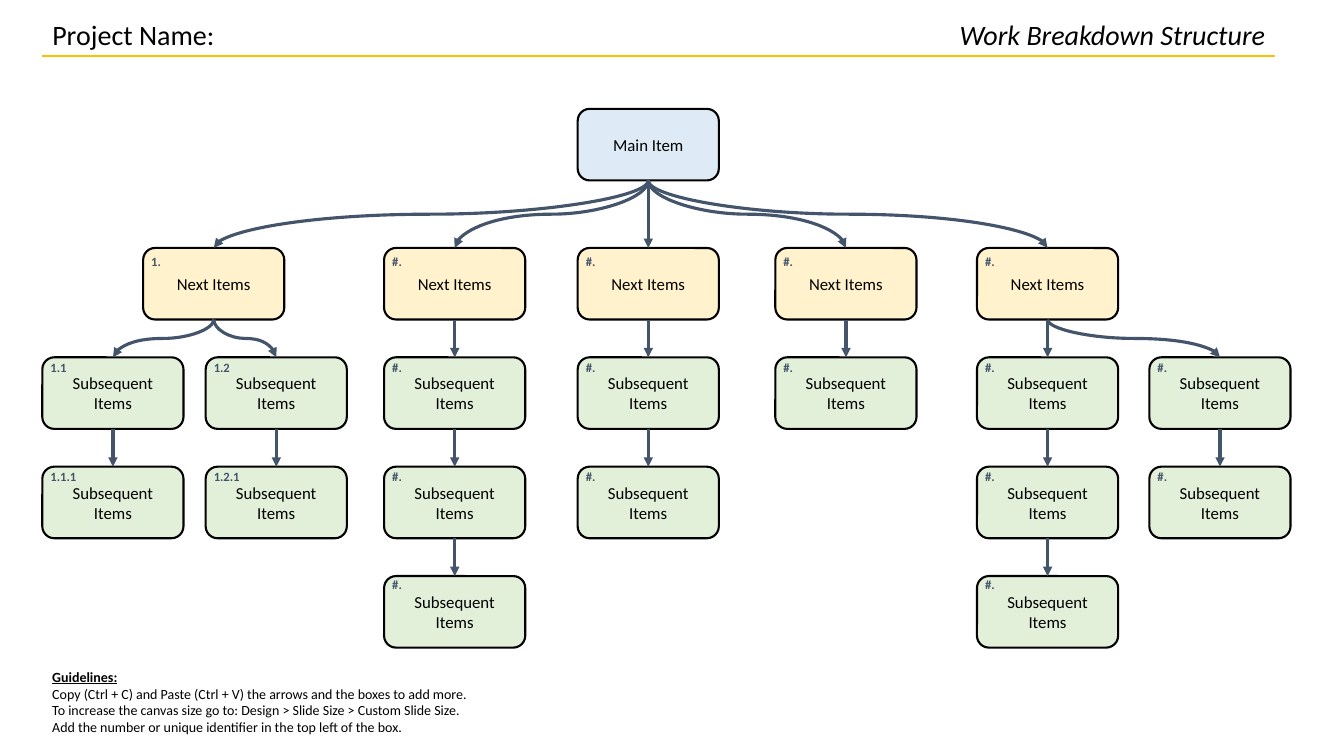
from dataclasses import dataclass

from lxml import etree
from pptx import Presentation
from pptx import util as u
from pptx.dml.color import RGBColor
from pptx.enum import shapes, text
from pptx.oxml.ns import qn


@dataclass(frozen=True)
class Theme:
    font: str = "Calibri"
    ink: str = "000000"
    accent: str = "44546A"
    rule: str = "FFC000"
    main_fill: str = "DEEBF7"
    next_fill: str = "FFF2CC"
    subsequent_fill: str = "E2F0D9"
    heading_size: int = 20
    box_size: int = 12
    note_size: int = 10
    number_size: int = 9
    outline: float = 1.5
    arrow: float = 2.25


THEME = Theme()
LEFT, RIGHT = 0.42, 12.65
HEADER_TOP, HEADER_WIDTH, HEADER_HEIGHT = 0.12, 4.05, 0.44
BOX_WIDTH, BOX_HEIGHT = 1.4, 0.71
MAIN_TOP, FIRST_ROW, ROW_PITCH = 1.08, 2.46, 1.085
COLUMNS = {"A": 0.42, "AB": 1.42, "B": 2.04, "C": 3.81, "D": 5.73,
           "E": 7.69, "F": 9.69, "G": 11.4}
NUMBER_INDENT = 0.08
NUMBER_DROPS = [0.06, 0.03, 0.02, 0.01]  # one for each row

# Each branch: (number, column, branches below)
BRANCHES = [
    ("1.", "AB", [("1.1", "A", [("1.1.1", "A", [])]),
                  ("1.2", "B", [("1.2.1", "B", [])])]),
    ("#.", "C", [("#.", "C", [("#.", "C", [("#.", "C", [])])])]),
    ("#.", "D", [("#.", "D", [("#.", "D", [])])]),
    ("#.", "E", [("#.", "E", [])]),
    ("#.", "F", [("#.", "F", [("#.", "F", [("#.", "F", [])])]),
                 ("#.", "G", [("#.", "G", [])])]),
]
GUIDELINES = [
    "Copy (Ctrl + C) and Paste (Ctrl + V) the arrows and the boxes to add more.",
    "To increase the canvas size go to: Design > Slide Size > Custom Slide Size.",
    "Add the number or unique identifier in the top left of the box.",
]


def color(code):
    return RGBColor.from_string(code)


def add_run(paragraph, words, size, ink=THEME.ink, **styles):
    run = paragraph.add_run()
    run.text = words
    font = run.font
    font.name, font.size = THEME.font, u.Pt(size)
    font.color.rgb = color(ink)
    for style, value in styles.items():
        setattr(font, style, value)


def add_text_box(parent, left, top, width, height, inset=None):
    box = parent.add_textbox(*map(u.Inches, (left, top, width, height)))
    frame = box.text_frame
    frame.word_wrap = True
    frame.auto_size = text.MSO_AUTO_SIZE.SHAPE_TO_FIT_TEXT
    if inset is not None:
        for side in ("left", "top", "right", "bottom"):
            setattr(frame, f"margin_{side}", u.Inches(inset))
    return frame


def add_box(parent, left, top, words, fill):
    box = parent.add_shape(shapes.MSO_SHAPE.ROUNDED_RECTANGLE,
                           *map(u.Inches, (left, top, BOX_WIDTH, BOX_HEIGHT)))
    box.shadow.inherit = False
    box.fill.solid()
    box.fill.fore_color.rgb = color(fill)
    box.line.color.rgb = color(THEME.ink)
    box.line.width = u.Pt(THEME.outline)
    box.text_frame.word_wrap = True
    box.text_frame.vertical_anchor = text.MSO_ANCHOR.MIDDLE
    paragraph = box.text_frame.paragraphs[0]
    paragraph.alignment = text.PP_ALIGN.CENTER
    add_run(paragraph, words, THEME.box_size)
    return box


def add_line(slide, kind, ends, ink, width):
    connector = slide.shapes.add_connector(kind, *ends)
    connector.line.color.rgb = color(ink)
    connector.line.width = u.Pt(width)
    properties = connector._element.spPr
    etree.SubElement(properties, qn("a:effectLst"))
    return connector


def add_arrow(slide, upper, lower):
    """Join two boxes by a curve that leaves and arrives vertically."""
    start_x, start_y = upper.left + upper.width // 2, upper.top + upper.height
    end_x, end_y = lower.left + lower.width // 2, lower.top
    arrow = add_line(slide, shapes.MSO_CONNECTOR.CURVE,
                     (start_x, start_y, end_x, end_y), THEME.accent, THEME.arrow)
    arrow.begin_connect(upper, 2)
    arrow.end_connect(lower, 0)
    drop, shift = end_y - start_y, end_x - start_x
    arrow.width, arrow.height = drop, abs(shift)
    arrow.left = (start_x + end_x - drop) // 2
    arrow.top = (start_y + end_y - abs(shift)) // 2
    transform = arrow._element.spPr.find(qn("a:xfrm"))
    transform.set("rot", str((270 if shift > 0 else 90) * 60000))
    transform.set("flipH", "1" if shift > 0 else "0")
    transform.set("flipV", "0")
    line = arrow._element.spPr.find(qn("a:ln"))
    etree.SubElement(line, qn("a:tailEnd"), type="triangle")


def add_branch(slide, upper, branch, row=0):
    """Draw a numbered box, its arrow from above and all the boxes below."""
    number, column, below = branch
    left, top = COLUMNS[column], FIRST_ROW + row * ROW_PITCH
    words, fill = (("Subsequent Items", THEME.subsequent_fill) if row
                   else ("Next Items", THEME.next_fill))
    group = slide.shapes.add_group_shape()
    box = add_box(group.shapes, left, top, words, fill)
    label = add_text_box(group.shapes, left + NUMBER_INDENT,
                         top + NUMBER_DROPS[row], 0.32, 0.15, inset=0)
    add_run(label.paragraphs[0], number, THEME.number_size, THEME.accent, bold=True)
    add_arrow(slide, upper, box)
    for child in below:
        add_branch(slide, box, child, row + 1)


def add_header(slide):
    title = slide.shapes.title
    title.left, title.top, title.width, title.height = map(
        u.Inches, (RIGHT - HEADER_WIDTH, HEADER_TOP, HEADER_WIDTH, HEADER_HEIGHT))
    title.text_frame.vertical_anchor = text.MSO_ANCHOR.TOP
    title.text_frame.auto_size = text.MSO_AUTO_SIZE.NONE
    paragraph = title.text_frame.paragraphs[0]
    paragraph.alignment = text.PP_ALIGN.RIGHT
    add_run(paragraph, "Work Breakdown Structure", THEME.heading_size, italic=True)
    project = add_text_box(slide.shapes, LEFT, HEADER_TOP, HEADER_WIDTH, HEADER_HEIGHT)
    add_run(project.paragraphs[0], "Project Name:", THEME.heading_size)
    rule_y = HEADER_TOP + HEADER_HEIGHT
    add_line(slide, shapes.MSO_CONNECTOR.STRAIGHT,
             map(u.Inches, (LEFT, rule_y, RIGHT, rule_y)), THEME.rule, THEME.outline)


def add_guidelines(slide):
    frame = add_text_box(slide.shapes, LEFT, 6.58, 4.47, 0.77)
    add_run(frame.paragraphs[0], "Guidelines:", THEME.note_size,
            bold=True, underline=True)
    for guideline in GUIDELINES:
        add_run(frame.add_paragraph(), guideline, THEME.note_size)


def main():
    presentation = Presentation()
    presentation.slide_width = u.Inches(13.33)
    presentation.slide_height = u.Inches(7.5)
    slide = presentation.slides.add_slide(
        presentation.slide_layouts.get_by_name("Title Only"))
    add_header(slide)
    main_item = add_box(slide.shapes, COLUMNS["D"], MAIN_TOP, "Main Item",
                        THEME.main_fill)
    for branch in BRANCHES:
        add_branch(slide, main_item, branch)
    add_guidelines(slide)
    presentation.save("out.pptx")


if __name__ == "__main__":
    main()
